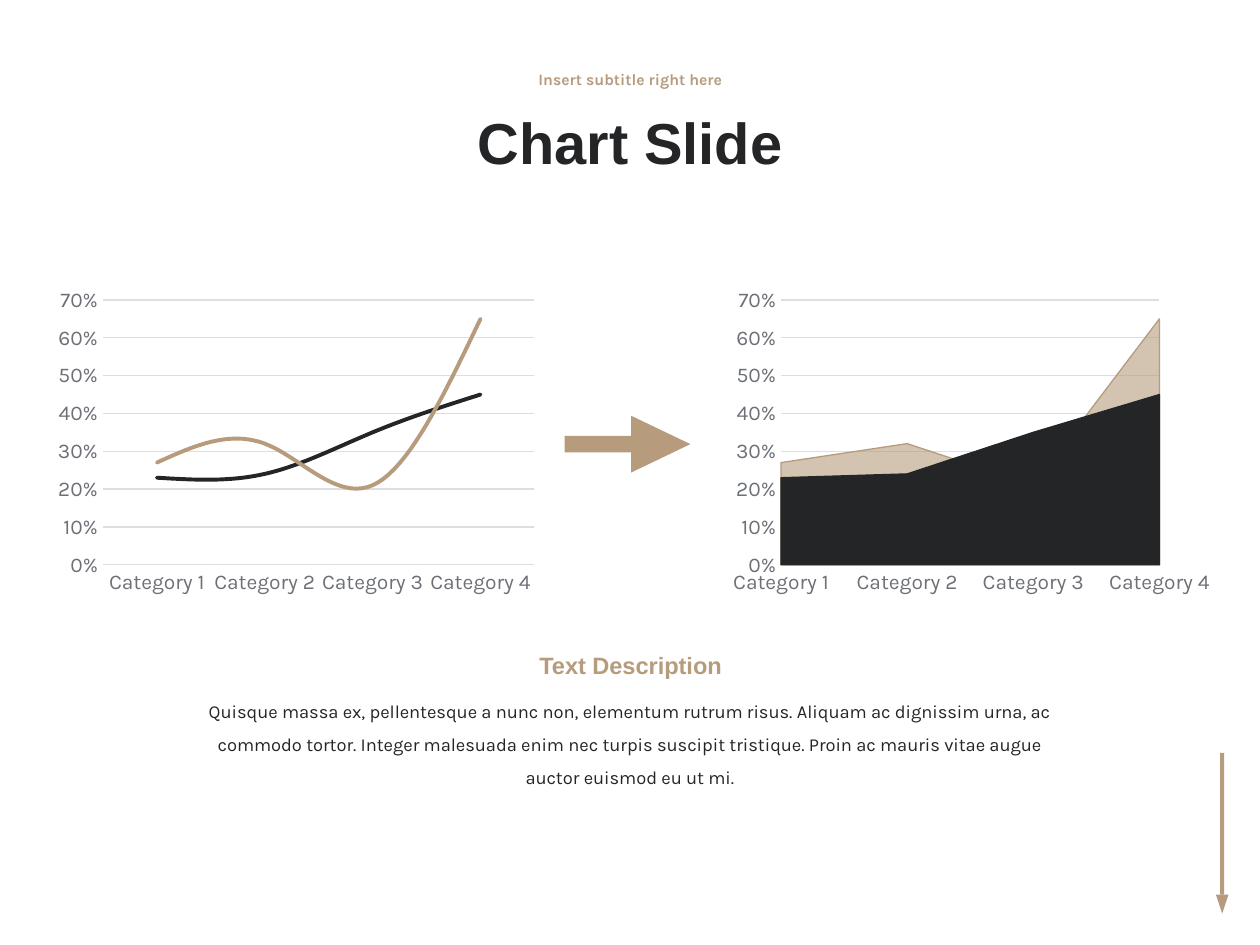
import dataclasses

import pptx
import pptx.chart.data
import pptx.dml.color
import pptx.enum.chart
import pptx.enum.shapes
import pptx.enum.text
import pptx.oxml
import pptx.oxml.ns
import pptx.util

Pt = pptx.util.Pt
qn = pptx.oxml.ns.qn
SHAPES = pptx.enum.shapes.MSO_SHAPE
ANCHORS = pptx.enum.text.MSO_ANCHOR
CHARTS = pptx.enum.chart.XL_CHART_TYPE
TICKS = pptx.enum.chart.XL_TICK_MARK


@dataclasses.dataclass(frozen=True)
class Theme:
    dark: str = "242527"
    accent: str = "B69B7D"
    axis_text: str = "6D7076"
    grid: str = "DDDEE0"
    heading_font: str = "Arial"
    body_font: str = "Karla"
    title_size: float = 33
    subtitle_size: float = 9
    heading_size: float = 13.5
    body_size: float = 10.5
    chart_size: float = 10
    axis_size: float = 12


THEME = Theme()
CATEGORIES = [f"Category {number}" for number in range(1, 5)]
# Name, values, colour, opacity of the filled area in percent
SERIES = [
    ("Series 1", (0.23, 0.24, 0.35, 0.45), THEME.dark, 100),
    ("Series 2", (0.27, 0.32, 0.21, 0.65), THEME.accent, 60),
]
DESCRIPTION = (
    "Quisque massa ex, pellentesque a nunc non, elementum rutrum risus. "
    "Aliquam ac dignissim urna, ac commodo tortor. Integer malesuada enim nec "
    "turpis suscipit tristique. Proin ac mauris vitae augue auctor euismod eu ut mi."
)


def rgb(color):
    return pptx.dml.color.RGBColor.from_string(color)


def set_values(target, values):
    for name, value in values.items():
        setattr(target, name, value)


def set_font(font, name, size, color, bold=False):
    set_values(font, {"name": name, "size": Pt(size), "bold": bold})
    font.color.rgb = rgb(color)


def set_line(line, color, width):
    line.color.rgb = rgb(color)
    line.width = Pt(width)


def add_text(slide, box, text, font, anchor=ANCHORS.TOP, spacing=1.0):
    shape = slide.shapes.add_textbox(*map(Pt, box))
    set_values(shape.text_frame, {"word_wrap": True, "vertical_anchor": anchor})
    paragraph = shape.text_frame.paragraphs[0]
    set_values(paragraph, {
        "alignment": pptx.enum.text.PP_ALIGN.CENTER,
        "line_spacing": spacing,
    })
    run = paragraph.add_run()
    run.text = text
    set_font(run.font, *font)


def add_block(slide, kind, box, rotation=0):
    shape = slide.shapes.add_shape(kind, *map(Pt, box))
    shape.rotation = rotation
    shape.shadow.inherit = False
    shape.fill.solid()
    shape.fill.fore_color.rgb = rgb(THEME.accent)
    shape.line.fill.background()


def format_axes(chart):
    for axis in (chart.category_axis, chart.value_axis):
        set_values(axis, {"major_tick_mark": TICKS.NONE, "minor_tick_mark": TICKS.NONE})
        set_font(axis.tick_labels.font, THEME.body_font, THEME.axis_size, THEME.axis_text)
    set_line(chart.category_axis.format.line, THEME.grid, 0.75)

    value_axis = chart.value_axis
    set_values(value_axis, {
        "minimum_scale": 0, "maximum_scale": 0.7, "major_unit": 0.1,
        "has_major_gridlines": True,
    })
    set_values(value_axis.tick_labels, {
        "number_format": "0%", "number_format_is_linked": False,
    })
    value_axis.format.line.fill.background()
    set_line(value_axis.major_gridlines.format.line, THEME.grid, 0.75)


def set_axis_crossing(value_axis, position):
    element = value_axis._element
    crossing = element.find(qn("c:crossBetween"))
    if crossing is None:
        crossing = element.makeelement(qn("c:crossBetween"), {})
        element.find(qn("c:crosses")).addnext(crossing)
    crossing.set("val", position)


def format_line_series(series, color):
    series.smooth = True
    series.marker.style = pptx.enum.chart.XL_MARKER_STYLE.NONE
    set_line(series.format.line, color, 2.25)
    series.format.line._get_or_add_ln().set("cap", "rnd")


def format_area_series(series, color, opacity):
    fill = series.format.fill
    fill.solid()
    fill.fore_color.rgb = rgb(color)
    set_line(series.format.line, color, 0.75)
    if opacity < 100:
        shape_properties = series._element.find(qn("c:spPr"))
        color_element = shape_properties.find(qn("a:solidFill")).find(qn("a:srgbClr"))
        alpha = color_element.makeelement(qn("a:alpha"), {"val": str(opacity * 1000)})
        color_element.append(alpha)


def add_trend_chart(slide, kind, left):
    data = pptx.chart.data.CategoryChartData(number_format="0%")
    data.categories = CATEGORIES
    for name, values, _, _ in SERIES:
        data.add_series(name, values)
    box = map(Pt, (left, 160.6, 283.7, 182.9))
    chart = slide.shapes.add_chart(kind, *box, data).chart
    set_values(chart, {"has_title": False, "has_legend": False})
    set_font(chart.font, THEME.body_font, THEME.chart_size, THEME.dark)
    chart.plots[0].vary_by_categories = False
    format_axes(chart)

    # Areas start on the value axis, lines start half a category in
    is_area = kind == CHARTS.AREA
    set_axis_crossing(chart.value_axis, "midCat" if is_area else "between")
    for series, (_, _, color, opacity) in zip(chart.plots[0].series, SERIES):
        if is_area:
            format_area_series(series, color, opacity)
        else:
            format_line_series(series, color)


def main():
    presentation = pptx.Presentation()
    set_values(presentation, {"slide_width": Pt(720), "slide_height": Pt(540)})
    slide = presentation.slides.add_slide(presentation.slide_layouts[6])

    # Downward arrow in the corner
    add_block(slide, SHAPES.RECTANGLE, (697.3, 430.2, 2.2, 81))
    add_block(slide, SHAPES.ISOSCELES_TRIANGLE, (694.8, 511.2, 7.2, 10.8), 180)

    # Title and subtitle
    add_text(slide, (157.4, 46.1, 405.4, 74.2), "Chart Slide",
             (THEME.heading_font, THEME.title_size, THEME.dark, True),
             ANCHORS.MIDDLE, 0.9)
    add_text(slide, (157.4, 32.4, 405.4, 27.4), "Insert subtitle right here",
             (THEME.body_font, THEME.subtitle_size, THEME.accent, True),
             ANCHORS.MIDDLE, 0.9)

    # Two charts with an arrow between them
    add_trend_chart(slide, CHARTS.LINE, 27.4)
    add_block(slide, SHAPES.RECTANGLE, (322.6, 249.1, 38.2, 9.4))
    add_block(slide, SHAPES.ISOSCELES_TRIANGLE, (361.4, 236.9, 32.4, 33.8), 90)
    add_trend_chart(slide, CHARTS.AREA, 413.3)

    # Description
    add_text(slide, (103.7, 390.2, 512.6, 43.2), DESCRIPTION,
             (THEME.body_font, THEME.body_size, THEME.dark), spacing=1.5)
    add_text(slide, (281.5, 368.6, 157.7, 23.8), "Text Description",
             (THEME.heading_font, THEME.heading_size, THEME.accent, True))

    presentation.save("out.pptx")


if __name__ == "__main__":
    main()
